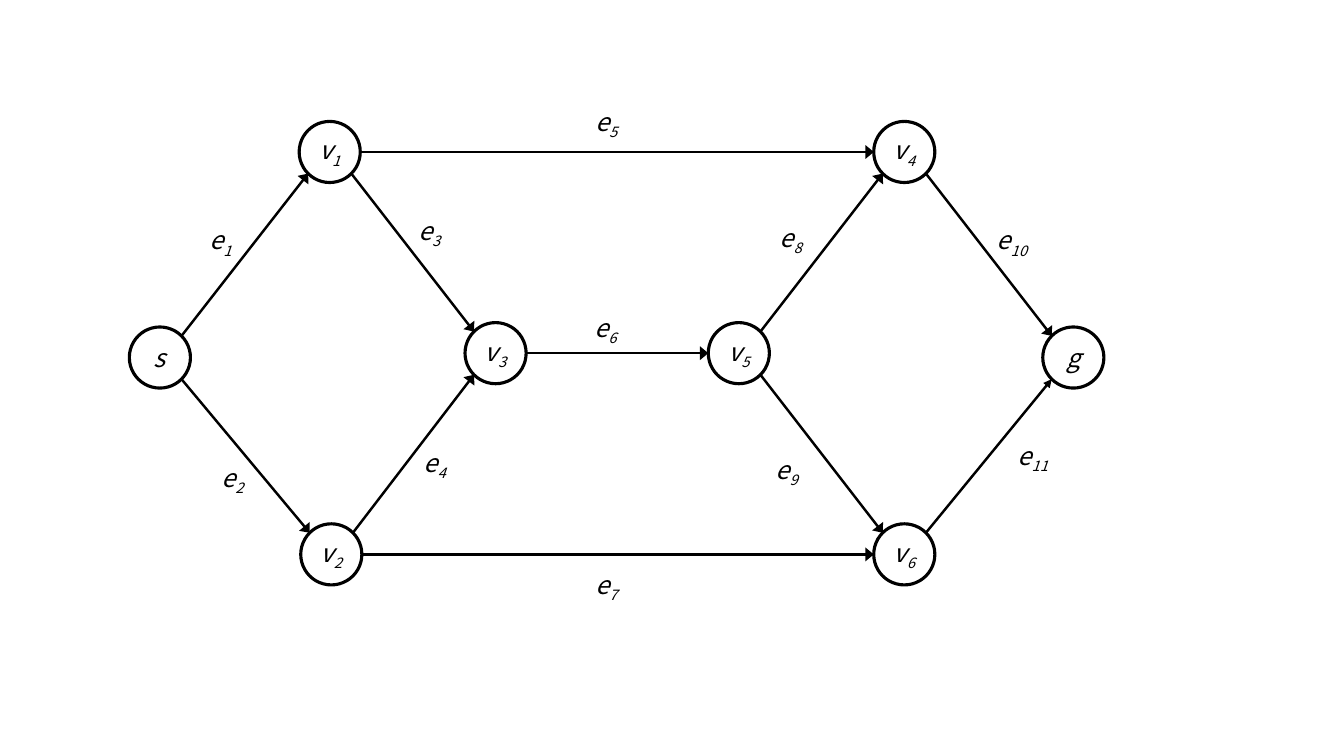
from math import cos, radians, sin
from typing import NamedTuple

from lxml import etree
from pptx import Presentation
from pptx import util as u
from pptx.dml.color import RGBColor
from pptx.enum import shapes, text
from pptx.oxml.ns import qn

FONT = "Noto Sans CJK JP"
BLACK = "000000"
RADIUS = 0.77
LABEL_SIZE = (1.65, 1.02)

# Connection sites of an ellipse, counted anticlockwise from the top
TOP_LEFT, LEFT, BOTTOM_LEFT, BOTTOM_RIGHT, RIGHT, TOP_RIGHT = 1, 2, 3, 5, 6, 7


class Vertex(NamedTuple):
    letter: str
    index: str
    x: float  # centre, cm
    y: float

    def site(self, number: int) -> tuple[u.Cm, u.Cm]:
        """Return the point of a numbered connection site."""
        angle = radians(90 + 45 * number)
        return u.Cm(self.x + RADIUS * cos(angle)), u.Cm(self.y - RADIUS * sin(angle))


class Edge(NamedTuple):
    start: str
    end: str
    label_left: float
    label_top: float
    head_width: str = "lg"


VERTICES = [
    Vertex("s", "", 4.03, 9.01),
    Vertex("v", "1", 8.31, 3.83),
    Vertex("v", "2", 8.35, 13.97),
    Vertex("v", "3", 12.49, 8.9),
    Vertex("v", "4", 22.79, 3.83),
    Vertex("v", "5", 18.62, 8.9),
    Vertex("v", "6", 22.79, 13.97),
    Vertex("g", "", 27.05, 9.01),
]

# Listed in the order of their numbers, from e1 to e11
EDGES = [
    Edge("s", "v1", 5.03, 5.54),
    Edge("s", "v2", 5.33, 11.53),
    Edge("v1", "v3", 10.29, 5.29),
    Edge("v2", "v3", 10.43, 11.15),
    Edge("v1", "v4", 14.75, 2.55),
    Edge("v3", "v5", 14.73, 7.75),
    Edge("v2", "v6", 14.75, 14.22),
    Edge("v5", "v4", 19.4, 5.48),
    Edge("v5", "v6", 19.3, 11.32),
    Edge("v4", "g", 24.87, 5.54),
    Edge("v6", "g", 25.4, 10.97, head_width="med"),
]


def color(value: str) -> RGBColor:
    return RGBColor.from_string(value)


def write_symbol(frame, letter: str, index: str) -> None:
    """Write an italic letter with its index as a subscript."""
    para = frame.paragraphs[0]
    for part in filter(None, (letter, index)):
        span = para.add_run()
        span.text = part
        span.font.name = FONT
        span.font.size = u.Pt(18)
        span.font.italic = True
        span.font.color.rgb = color(BLACK)
        if part == index:
            span.font._element.set("baseline", "-25000")


def draw_vertex(page, vertex: Vertex):
    circle = page.shapes.add_shape(
        shapes.MSO_SHAPE.OVAL,
        u.Cm(vertex.x - RADIUS), u.Cm(vertex.y - RADIUS),
        u.Cm(2 * RADIUS), u.Cm(2 * RADIUS),
    )
    circle.shadow.inherit = False
    circle.fill.background()
    circle.line.color.rgb = color(BLACK)
    circle.line.width = u.Pt(2.25)
    frame = circle.text_frame
    frame.word_wrap = False
    frame.margin_left = frame.margin_right = 0
    frame.vertical_anchor = text.MSO_ANCHOR.MIDDLE
    write_symbol(frame, vertex.letter, vertex.index)
    frame.paragraphs[0].alignment = text.PP_ALIGN.CENTER
    return circle


def edge_sites(start: Vertex, end: Vertex) -> tuple[int, int]:
    """Choose the sites that face each other for a level, falling or rising edge."""
    if start.y == end.y:
        return RIGHT, LEFT
    return (BOTTOM_RIGHT, TOP_LEFT) if end.y > start.y else (TOP_RIGHT, BOTTOM_LEFT)


def draw_edge(page, edge: Edge, vertices: dict[str, Vertex], circles: dict) -> None:
    start, end = vertices[edge.start], vertices[edge.end]
    start_site, end_site = edge_sites(start, end)
    arrow = page.shapes.add_connector(
        shapes.MSO_CONNECTOR.STRAIGHT, *start.site(start_site), *end.site(end_site)
    )
    arrow.line.color.rgb = color(BLACK)
    arrow.line.width = u.Pt(1.75)
    properties = arrow.element.spPr
    etree.SubElement(properties.find(qn("a:ln")), qn("a:tailEnd"),
                     type="triangle", w=edge.head_width, len="med")
    etree.SubElement(properties, qn("a:effectLst"))

    # begin_connect knows only four sites, an ellipse has eight
    joints = arrow.element.find(f".//{qn('p:cNvCxnSpPr')}")
    for tag, name, site in (
        ("a:stCxn", edge.start, start_site),
        ("a:endCxn", edge.end, end_site),
    ):
        etree.SubElement(joints, qn(tag), id=str(circles[name].shape_id), idx=str(site))


def draw_label(page, edge: Edge, number: int) -> None:
    width, height = LABEL_SIZE
    box = page.shapes.add_textbox(
        u.Cm(edge.label_left), u.Cm(edge.label_top), u.Cm(width), u.Cm(height)
    )
    box.text_frame.word_wrap = True
    box.text_frame.auto_size = text.MSO_AUTO_SIZE.SHAPE_TO_FIT_TEXT
    write_symbol(box.text_frame, "e", str(number))


def main() -> None:
    deck = Presentation()
    deck.slide_width, deck.slide_height = u.Cm(33.87), u.Cm(19.05)
    page = deck.slides.add_slide(deck.slide_layouts[6])

    vertices = {vertex.letter + vertex.index: vertex for vertex in VERTICES}
    circles = {name: draw_vertex(page, vertex) for name, vertex in vertices.items()}
    for edge in EDGES:
        draw_edge(page, edge, vertices, circles)
    for number, edge in enumerate(EDGES, start=1):
        draw_label(page, edge, number)

    deck.save("out.pptx")


if __name__ == "__main__":
    main()
